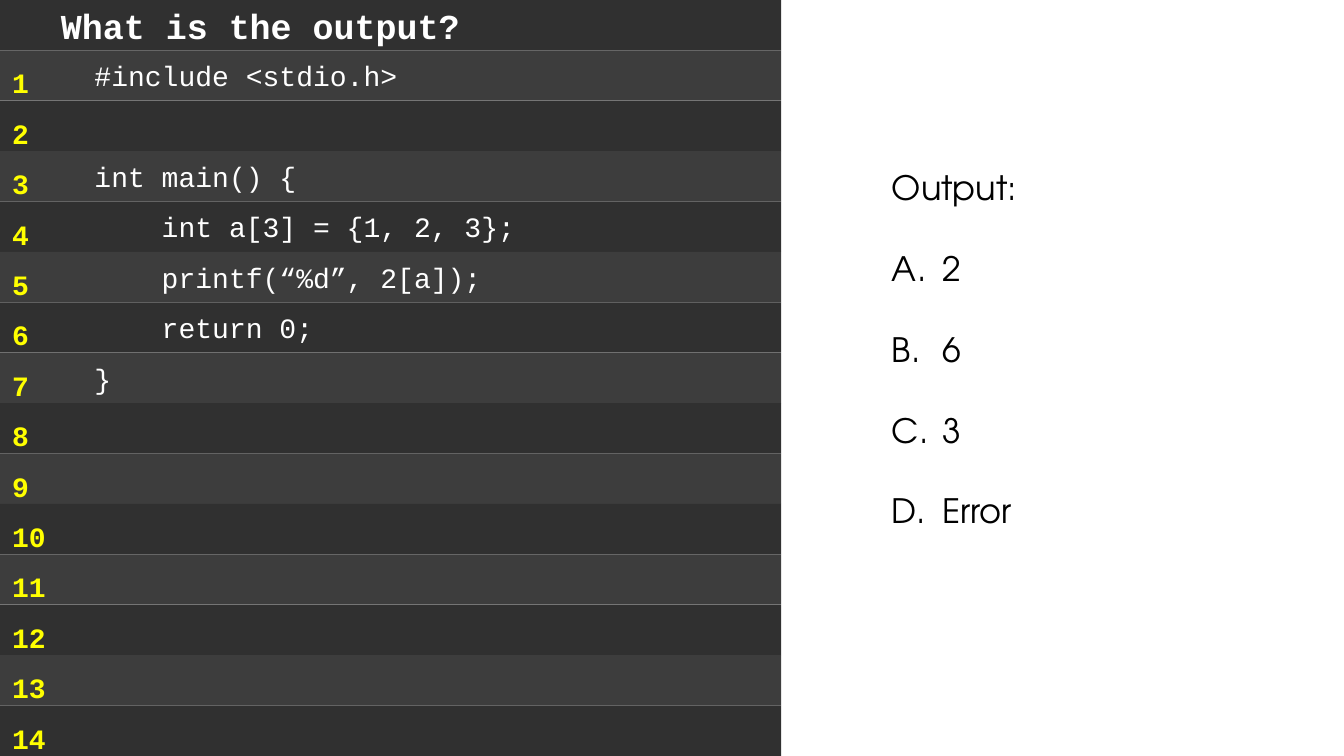
from pptx import Presentation
from pptx import util as u
from pptx.dml.color import RGBColor
from pptx.enum import shapes, text
from lxml import etree

PX = 9525
HUES = {"dark": "303030", "light": "3D3D3D", "code": "FFFFFF",
        "number": "FFFF00", "answer": "000000"}
MONO, SANS = "Courier New", "TeX Gyre Adventor"
CODE = ["#include <stdio.h>", "", "int main() {", "    int a[3] = {1, 2, 3};",
        "    printf(“%d”, 2[a]);", "    return 0;", "}"]
ROWS = 14
CHOICES = ["2", "6", "3", "Error"]


def px(*sizes):
    return [u.Emu(size * PX) for size in sizes]


def style(para, face, size, hue, bold=False):
    para.alignment = text.PP_ALIGN.LEFT
    for run in para.runs:
        run.font.name = face
        run.font.size = u.Pt(size)
        run.font.bold = bold
        run.font.color.rgb = RGBColor.from_string(HUES[hue])


def paint(shape, hue):
    shape.fill.solid()
    shape.fill.fore_color.rgb = RGBColor.from_string(HUES[hue])
    shape.line.fill.background()


def inset(frame, left):
    frame.margin_left = u.Emu(left * PX)
    frame.vertical_anchor = text.MSO_ANCHOR.MIDDLE
    frame.word_wrap = True


def heading(slide, x, y, w, h):
    title = slide.shapes.title
    title.left, title.top, title.width, title.height = px(x, y, w, h)
    paint(title, "dark")
    frame = title.text_frame
    frame.text = "What is the output?"
    frame.auto_size = text.MSO_AUTO_SIZE.NONE
    inset(frame, 58)
    style(frame.paragraphs[0], MONO, 25, "code", True)


def listing(slide, x, y, w, h):
    step = h // ROWS
    for i in range(ROWS):
        row = slide.shapes.add_shape(shapes.MSO_SHAPE.RECTANGLE,
                                     *px(x, y + i * step, w, step))
        row.shadow.inherit = False
        paint(row, "dark" if i % 2 else "light")
        if i < len(CODE) and CODE[i]:
            row.text_frame.text = CODE[i]
            inset(row.text_frame, 90)
            style(row.text_frame.paragraphs[0], MONO, 20, "code")
    box = slide.shapes.add_textbox(*px(x + 2, y - 6, 54, h + 12))
    frame = box.text_frame
    frame.word_wrap = True
    frame.text = "\n".join(str(i + 1) for i in range(ROWS))
    for para in frame.paragraphs:
        para.line_spacing = 1.5
        style(para, MONO, 20, "number", True)


def answers(slide, x, y, w, h):
    frame = slide.shapes.add_textbox(*px(x, y, w, h)).text_frame
    frame.word_wrap = True
    frame.text = "\n".join(["Output:"] + CHOICES)
    for i, para in enumerate(frame.paragraphs):
        if i:
            props = para._p.get_or_add_pPr()
            props.set("marL", str(48 * PX))
            props.set("indent", str(-48 * PX))
            space = props.nsmap["a"]
            mark = etree.SubElement(props, f"{{{space}}}buAutoNum")
            mark.set("type", "alphaUcPeriod")
            para.space_before = u.Pt(29)
        style(para, SANS, 24, "answer")


def main():
    deck = Presentation()
    deck.slide_width, deck.slide_height = px(1280, 720)
    slide = deck.slides.add_slide(deck.slide_layouts[5])
    heading(slide, 0, 0, 744, 48)
    listing(slide, 0, 48, 744, 672)
    answers(slide, 840, 154, 288, 359)
    deck.save("out.pptx")


if __name__ == "__main__":
    main()
